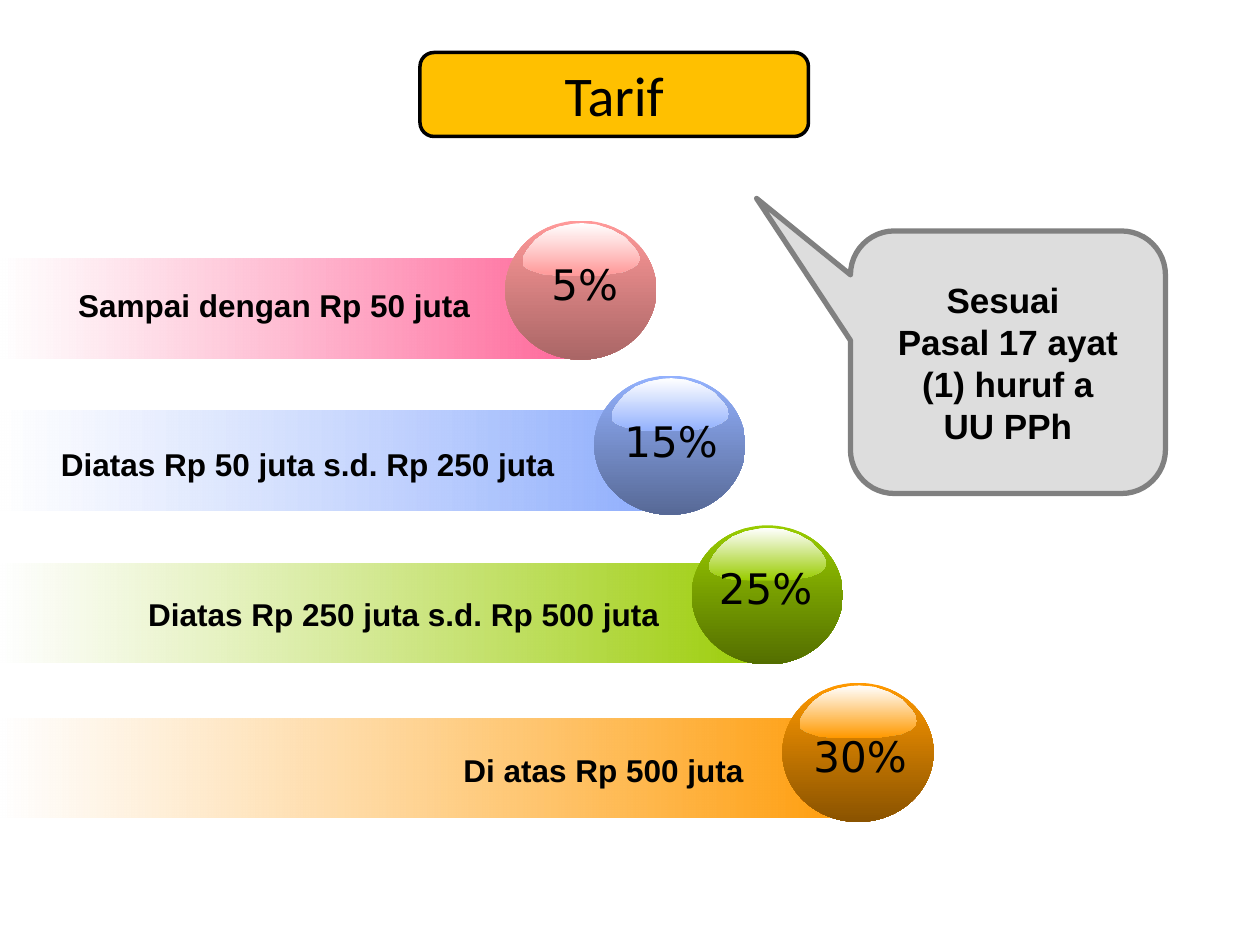
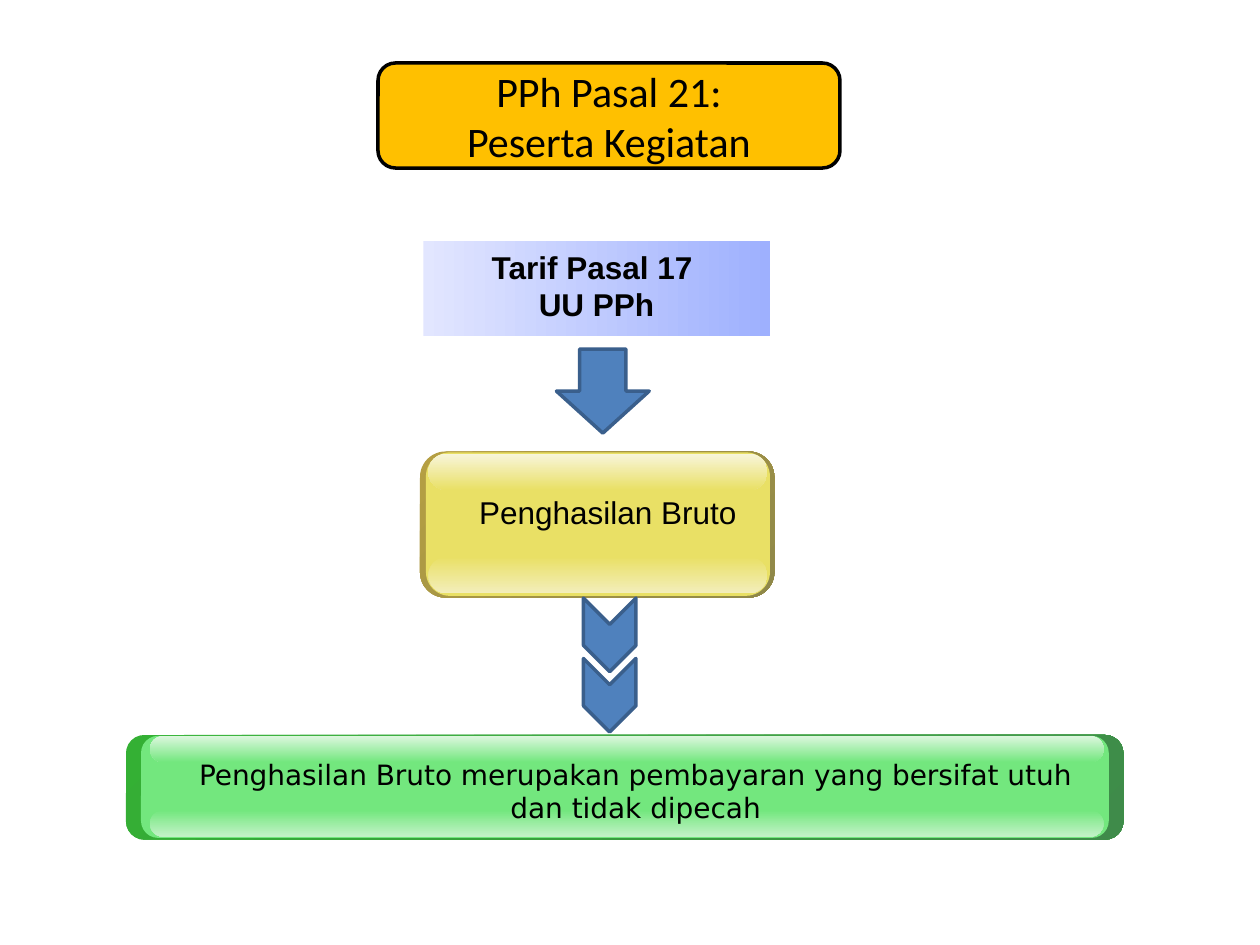
from dataclasses import dataclass

import lxml.etree
import pptx
import pptx.dml.color
import pptx.enum.shapes
import pptx.enum.text
import pptx.oxml.ns
import pptx.shapes.autoshape
import pptx.slide
import pptx.text.text
import pptx.util

Pt = pptx.util.Pt
Kind = pptx.enum.shapes.MSO_SHAPE
Align = pptx.enum.text.PP_ALIGN
Anchor = pptx.enum.text.MSO_ANCHOR
Shape = pptx.shapes.autoshape.Shape
Slide = pptx.slide.Slide

COLORS = {
    "text": "000000",
    "white": "FFFFFF",
    "title": "FFC000",
    "callout": "DDDDDD",
    "callout_line": "808080",
    "arrow": "4F81BD",
    "arrow_line": "3A5F8C",
    "tariff_start": "E2E6FF",
    "tariff_end": "9EB0FE",
    "pink": "FF6699",
    "rose": "FF9999",
    "rose_dark": "AA6666",
    "blue": "93B1FD",
    "blue_dark": "576996",
    "green": "99CC00",
    "green_dark": "536E00",
    "orange": "FF9900",
    "orange_dark": "8A5300",
    "gold_rim": "B59F43",
    "gold_rim_dark": "8F8849",
    "gold": "E9E065",
    "gold_top": "F8F5DB",
    "gold_bottom": "F3EEBB",
    "mint_rim": "34B034",
    "mint_rim_dark": "3F8B4A",
    "mint": "73E77E",
    "mint_top": "DDF7DF",
    "mint_bottom": "C3F2C7",
}

GLOSS_OUTLINE = [
    (0.98, 0.56), (1, 0.68), (0.98, 0.78), (0.94, 0.85), (0.86, 0.93), (0.77, 0.96),
    (0.68, 0.99), (0.6, 1), (0.35, 1), (0.26, 0.99), (0.17, 0.97), (0.11, 0.93),
    (0.05, 0.88), (0.01, 0.82), (0, 0.73), (0.01, 0.63), (0.04, 0.51), (0.11, 0.32),
    (0.2, 0.17), (0.31, 0.07), (0.44, 0.01), (0.51, 0), (0.63, 0.03), (0.76, 0.13),
    (0.87, 0.27), (0.95, 0.46),
]


@dataclass(frozen=True)
class Box:
    left: float
    top: float
    width: float
    height: float

    def lengths(self) -> tuple[int, int, int, int]:
        return Pt(self.left), Pt(self.top), Pt(self.width), Pt(self.height)


@dataclass(frozen=True)
class TextStyle:
    font: str
    size: float
    bold: bool = False
    align: Align = Align.CENTER


@dataclass(frozen=True)
class Gradient:
    start: str
    end: str
    clockwise: int = 0
    start_alpha: int = 100


@dataclass(frozen=True)
class Bracket:
    rate: str
    label: str
    bar_color: str
    ball_color: str
    ball_dark: str
    bar: Box
    ball: tuple[float, float]
    rate_box: Box
    label_box: Box


@dataclass(frozen=True)
class GlossyPanel:
    theme: str
    rim: Box
    face: Box
    shine_top: Box
    shine_bottom: Box
    text_box: Box
    text: str
    style: TextStyle


LABEL = TextStyle("Arial", 18, True, Align.RIGHT)
RATE = TextStyle("DejaVu Sans", 24)

BRACKETS = [
    Bracket("5%", "Sampai dengan Rp 50 juta", "pink", "rose", "rose_dark",
            Box(0, 147.6, 332.6, 57), (288.7, 126),
            Box(306, 144, 56.2, 36), Box(23.8, 159.8, 252, 29)),
    Bracket("15%", "Diatas Rp 50 juta s.d. Rp 250 juta", "blue", "blue", "blue_dark",
            Box(0, 234.7, 367.2, 57), (339.6, 214.6),
            Box(347.8, 234, 71.3, 36), Box(18, 250.6, 306, 29)),
    Bracket("25%", "Diatas Rp 250 juta s.d. Rp 500 juta", "green", "green", "green_dark",
            Box(0, 321.8, 447.8, 57), (395.3, 300.2),
            Box(401.8, 318.2, 71.3, 36), Box(41.8, 336.2, 342, 29)),
    Bracket("30%", "Di atas Rp 500 juta", "orange", "orange", "orange_dark",
            Box(0, 410.4, 503.3, 57), (447.1, 390.2),
            Box(455.8, 414, 71.3, 36), Box(252, 425.5, 180, 29)),
]

PANELS = [
    GlossyPanel("gold", Box(240, 258, 202.5, 83.5), Box(243.4, 258.5, 196.6, 82),
                Box(244.8, 259.2, 193.7, 20.9), Box(244.8, 318.2, 193.7, 20.9),
                Box(251.3, 277.9, 192.2, 29), "Penghasilan Bruto", TextStyle("Arial", 18)),
    GlossyPanel("mint", Box(72, 420, 570, 59.8), Box(80.6, 420.5, 553, 58.3),
                Box(85.7, 420.5, 545, 15.1), Box(85.7, 463, 545, 15.1),
                Box(92.2, 429.1, 542.2, 56.9),
                "Penghasilan Bruto merupakan pembayaran yang bersifat utuh dan tidak dipecah",
                TextStyle("DejaVu Sans", 16)),
]


def rgb(name: str) -> pptx.dml.color.RGBColor:
    return pptx.dml.color.RGBColor.from_string(COLORS[name])


def paint(shape: Shape, fill: str | Gradient, line: str = "", line_width: float = 2) -> None:
    shape.shadow.inherit = False
    if isinstance(fill, Gradient):
        shape.fill.gradient()
        shape.fill.gradient_angle = -fill.clockwise % 360
        first, last = shape.fill.gradient_stops
        first.position, last.position = 0, 1
        first.color.rgb, last.color.rgb = rgb(fill.start), rgb(fill.end)
        if fill.start_alpha < 100:
            color = shape.element.find(".//" + pptx.oxml.ns.qn("a:srgbClr"))
            alpha = lxml.etree.SubElement(color, pptx.oxml.ns.qn("a:alpha"))
            alpha.set("val", str(fill.start_alpha * 1000))
    else:
        shape.fill.solid()
        shape.fill.fore_color.rgb = rgb(fill)
    if line:
        shape.line.color.rgb = rgb(line)
        shape.line.width = Pt(line_width)
    else:
        shape.line.fill.background()


def write(frame: pptx.text.text.TextFrame, lines: list[str], style: TextStyle,
          anchor: Anchor = Anchor.TOP, wrap: bool = True) -> None:
    frame.auto_size = pptx.enum.text.MSO_AUTO_SIZE.NONE
    frame.word_wrap = wrap
    frame.vertical_anchor = anchor
    for index, line in enumerate(lines):
        para = frame.add_paragraph() if index else frame.paragraphs[0]
        para.alignment = style.align
        span = para.add_run()
        span.text = line
        span.font.name = style.font
        span.font.size = Pt(style.size)
        span.font.bold = style.bold
        span.font.color.rgb = rgb("text")


def add_shape(page: Slide, kind: Kind, box: Box, fill: str | Gradient, line: str = "",
              line_width: float = 2, adjustments: tuple[float, ...] = ()) -> Shape:
    shape = page.shapes.add_shape(kind, *box.lengths())
    for index, value in enumerate(adjustments):
        shape.adjustments[index] = value
    paint(shape, fill, line, line_width)
    return shape


def add_text(page: Slide, box: Box, lines: list[str], style: TextStyle,
             wrap: bool = True) -> None:
    write(page.shapes.add_textbox(*box.lengths()).text_frame, lines, style, wrap=wrap)


def add_page(deck: pptx.presentation.Presentation, title_box: Box, lines: list[str],
             size: float) -> Slide:
    page = deck.slides.add_slide(deck.slide_layouts.get_by_name("Title Only"))
    panel = add_shape(page, Kind.ROUNDED_RECTANGLE, title_box, "title", "text")
    title = page.shapes.title
    title.left, title.top, title.width, title.height = title_box.lengths()
    write(title.text_frame, lines, TextStyle("Calibri", size), Anchor.MIDDLE)
    panel.element.addnext(title.element)
    return page


def add_ball(page: Slide, left: float, top: float, color: str, dark: str) -> None:
    add_shape(page, Kind.OVAL, Box(left, top, 86.4, 79.5), Gradient(color, dark, 90))
    points = [(Pt(left + 10 + 67 * x), Pt(top + 1.5 + 30 * y)) for x, y in GLOSS_OUTLINE]
    outline = page.shapes.build_freeform(*points[0])
    outline.add_line_segments(points[1:], close=True)
    paint(outline.convert_to_shape(), Gradient("white", color, 90))


def add_bracket(page: Slide, bracket: Bracket) -> None:
    add_shape(page, Kind.RECTANGLE, bracket.bar,
              Gradient("white", bracket.bar_color, start_alpha=80))
    add_ball(page, *bracket.ball, bracket.ball_color, bracket.ball_dark)
    add_text(page, bracket.rate_box, [bracket.rate], RATE, wrap=False)
    add_text(page, bracket.label_box, [bracket.label], LABEL)


def add_glossy_panel(page: Slide, panel: GlossyPanel) -> None:
    theme = panel.theme
    layers = [
        (panel.rim, Gradient(f"{theme}_rim", f"{theme}_rim_dark", 45), 0.175),
        (panel.face, theme, 0.167),
        (panel.shine_bottom, Gradient(theme, f"{theme}_bottom", 90), 0.5),
        (panel.shine_top, Gradient(f"{theme}_top", theme, 90), 0.5),
    ]
    for box, fill, rounding in layers:
        add_shape(page, Kind.ROUNDED_RECTANGLE, box, fill, adjustments=(rounding,))
    add_text(page, panel.text_box, [panel.text], panel.style)


def build_rates(deck: pptx.presentation.Presentation) -> None:
    page = add_page(deck, Box(240, 30, 222, 48), ["Tarif"], 32)
    for bracket in BRACKETS:
        add_bracket(page, bracket)
    callout = add_shape(page, Kind.ROUNDED_RECTANGULAR_CALLOUT, Box(486, 132, 180, 150),
                        "callout", "callout_line", 3, (-0.798, -0.624, 0.167))
    write(callout.text_frame, ["Sesuai ", "Pasal 17 ayat (1) huruf a", "UU PPh"],
          TextStyle("Arial", 20, True), Anchor.MIDDLE)


def build_participants(deck: pptx.presentation.Presentation) -> None:
    page = add_page(deck, Box(216, 36, 264, 60), ["PPh Pasal 21:", "Peserta Kegiatan"], 24)
    add_shape(page, Kind.RECTANGLE, Box(242, 138, 198, 54),
              Gradient("tariff_start", "tariff_end"))
    add_text(page, Box(244.8, 138, 192.2, 51), ["Tarif Pasal 17 ", "UU PPh"],
             TextStyle("Arial", 18, True))
    for panel in PANELS:
        add_glossy_panel(page, panel)
    add_shape(page, Kind.DOWN_ARROW, Box(318, 199.5, 53, 48), "arrow", "arrow_line")
    for top in (347.8, 382.3):
        chevron = add_shape(page, Kind.CHEVRON, Box(327.4, top, 42, 30), "arrow", "arrow_line")
        chevron.rotation = 90


def main() -> None:
    deck = pptx.Presentation()
    deck.slide_width, deck.slide_height = Pt(720), Pt(540)
    build_rates(deck)
    build_participants(deck)
    deck.save("out.pptx")


if __name__ == "__main__":
    main()
